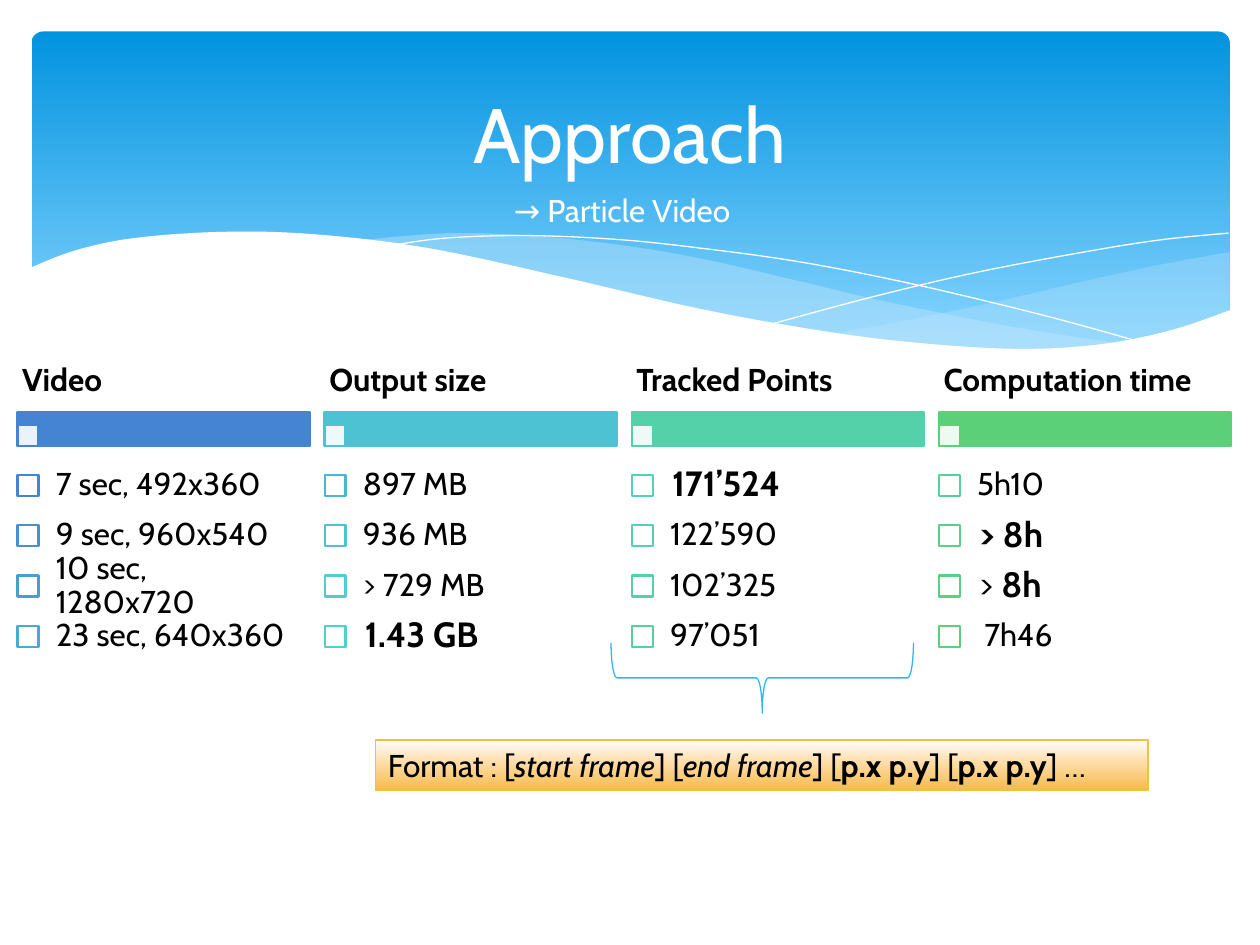
from lxml import etree
from pptx import Presentation
from pptx.dml.color import RGBColor
from pptx.enum.shapes import MSO_SHAPE
from pptx.enum.text import MSO_ANCHOR, PP_ALIGN
from pptx.oxml.ns import qn
from pptx.util import Pt

RECT, ROUND_RECT, BRACE = MSO_SHAPE.RECTANGLE, MSO_SHAPE.ROUNDED_RECTANGLE, MSO_SHAPE.LEFT_BRACE
MIDDLE, TOP = MSO_ANCHOR.MIDDLE, MSO_ANCHOR.TOP
LEFT, CENTER = PP_ALIGN.LEFT, PP_ALIGN.CENTER

FONT = "Cabin"
WHITE = RGBColor(0xFF, 0xFF, 0xFF)
BLACK = RGBColor(0x00, 0x00, 0x00)
SKY = RGBColor(0x02, 0x93, 0xE0)
PALE_SKY = RGBColor(0x83, 0xD3, 0xFE)
SWELL = RGBColor(0xC6, 0xE7, 0xFC)
BRACE_BLUE = RGBColor(0x31, 0xB6, 0xFD)
PEACH = RGBColor(0xFF, 0xDD, 0xAA)
AMBER = RGBColor(0xF4, 0xBB, 0x4A)
GOLD = RGBColor(0xF5, 0xC0, 0x40)
BLUES = [RGBColor.from_string(c) for c in ("4584D3", "4791D3", "489ED3", "49AAD2")]
CYANS = [RGBColor.from_string(c) for c in ("4BB6D2", "4CC2D2", "4ECDD2", "4FD1CA")]
TEALS = [RGBColor.from_string(c) for c in ("51D1BF", "52D1B4", "54D1A9", "55D19F")]
GREENS = [RGBColor.from_string(c) for c in ("57D195", "58D08B", "5AD081", "5BD078")]

COLUMNS = [
    ("Video", BLUES[0], BLUES,
     ["7 sec, 492x360", "9 sec, 960x540", "10 sec, 1280x720", "23 sec, 640x360"]),
    ("Output size", CYANS[1], CYANS,
     ["897 MB", "936 MB", "> 729 MB", [("1.43 GB", "b")]]),
    ("Tracked Points", TEALS[2], TEALS,
     [[("171’524", "b")], "122’590", "102’325", "97’051"]),
    ("Computation time", GREENS[3], GREENS,
     ["5h10", [("> 8h", "b")], [("> ", ""), ("8h", "b")], " 7h46"]),
]
FORMAT_RUNS = [
    ("Format : [", ""), ("start frame", "i"), ("] [", ""), ("end frame", "i"), ("] [", ""),
    ("p.x p.y", "b"), ("] [", ""), ("p.x p.y", "b"), ("] …", ""),
]

RIGHT_SWELL = [
    [(684.7, 126), (645.1, 133.2), (601.9, 142.6), (542.9, 156.2), (490.3, 167), (457.9, 172.8)],
    [(457.9, 172.8), (489.6, 177.1), (527, 180.7), (568.1, 182.2), (603.4, 180),
     (639.4, 174.2), (665.3, 167), (684.7, 159.8)],
]
LEFT_SWELL = [
    [(625, 178.6), (563, 169.2), (490.3, 154.8), (434.9, 141.8), (381.6, 129.6),
     (334.1, 121.7), (284.4, 116.6), (241.9, 115.2), (207.4, 117.4), (187.9, 119.5)],
    [(187.9, 119.5), (228.2, 125.3), (272.9, 133.9), (335.5, 149), (402.5, 163.4),
     (460.8, 173.5), (511.9, 180), (563, 182.2), (599, 181.4), (625, 178.6)],
]
FALLING_LINE = [
    [(204.5, 122.4), (236.2, 118.1), (281.5, 116.6), (334.1, 118.8), (382.3, 123.8),
     (439.9, 131.8), (505.4, 144.7), (580.3, 162.7), (635, 177.8)],
]
RISING_LINE = [
    [(423.4, 167), (482.4, 151.2), (540.7, 137.5), (605.5, 125.3), (647.3, 118.8), (684, 115.2)],
]
WHITE_WAVE = [
    [(-1.5, 135.4), (24.5, 125.3), (58.3, 118.1), (109.4, 114.5), (162, 115.9),
     (226.8, 123.8), (303.8, 140.4), (381.6, 158.4), (448.6, 170.6), (504.7, 177.8),
     (564.5, 181.4), (612, 178.6), (651.6, 170.6), (685.4, 159.1)],
    [(685.4, 218.9), (-1.5, 218.9)],
]


def set_alpha(sp, percent):
    """Make the solid fill of a shape partly transparent."""
    color = sp._element.spPr.find(qn("a:solidFill"))[0]
    etree.SubElement(color, qn("a:alpha"), val=str(percent * 1000))


def set_gradient(sp, stops):
    """Fill a shape from top to bottom with (percent, colour) stops."""
    sp.fill.gradient()
    sp.fill.gradient_angle = 270
    gs_list = sp._element.spPr.find(qn("a:gradFill")).find(qn("a:gsLst"))
    for gs in list(gs_list):
        gs_list.remove(gs)
    for percent, color in stops:
        gs = etree.SubElement(gs_list, qn("a:gs"), pos=str(percent * 1000))
        etree.SubElement(gs, qn("a:srgbClr"), val=str(color))


def style(sp, fill=None, line=None, width=1.25):
    """Set fill and line of a shape and drop its shadow."""
    sp.shadow.inherit = False
    if fill is None:
        sp.fill.background()
    else:
        sp.fill.solid()
        sp.fill.fore_color.rgb = fill
    if line is None:
        sp.line.fill.background()
    else:
        sp.line.color.rgb = line
        sp.line.width = Pt(width)
    return sp


def add_box(s, kind, x, y, w, h, **look):
    """Add a styled preset shape."""
    return style(s.shapes.add_shape(kind, Pt(x), Pt(y), Pt(w), Pt(h)), **look)


def add_text(s, content, x, y, w, h, size=18, color=BLACK, bold=False, align=LEFT,
             anchor=MIDDLE, inset=(7.2, 3.6), spacing=None, wrap=True):
    """Add a text box from a string or a list of (text, style letters) runs."""
    tf = s.shapes.add_textbox(Pt(x), Pt(y), Pt(w), Pt(h)).text_frame
    tf.word_wrap = wrap
    tf.vertical_anchor = anchor
    tf.margin_left = tf.margin_right = Pt(inset[0])
    tf.margin_top = tf.margin_bottom = Pt(inset[1])
    p = tf.paragraphs[0]
    p.alignment = align
    p.line_spacing = spacing
    runs = [(content, "b" if bold else "")] if isinstance(content, str) else content
    for text, marks in runs:
        r = p.add_run()
        r.text = text
        r.font.name = FONT
        r.font.size = Pt(size)
        r.font.color.rgb = color
        r.font.bold = "b" in marks
        r.font.italic = "i" in marks


def smooth(knots, steps=8):
    """Return points on a Catmull-Rom curve through the knots."""
    if len(knots) < 3:
        return knots
    padded = [knots[0], *knots, knots[-1]]
    points = [knots[0]]
    for a, b, c, d in zip(padded, padded[1:], padded[2:], padded[3:]):
        for step in range(1, steps + 1):
            t = step / steps
            points.append(tuple(
                (2 * q + (r - p) * t + (2 * p - 5 * q + 4 * r - v) * t ** 2
                 + (3 * q - p - 3 * r + v) * t ** 3) / 2
                for p, q, r, v in zip(a, b, c, d)))
    return points


def add_curve(s, x, y, edges, closed=True, **look):
    """Add a freeform along smoothed edges, relative to x and y."""
    points = [(Pt(x + px), Pt(y + py)) for edge in edges for px, py in smooth(edge)]
    builder = s.shapes.build_freeform(*points[0], scale=1.0)
    builder.add_line_segments(points[1:], close=closed)
    return style(builder.convert_to_shape(), **look)


def add_banner(s, x, y, w, h):
    """Draw the blue wave banner with title and subtitle."""
    sp = add_box(s, ROUND_RECT, x, y, w, h)
    sp.adjustments[0] = 0.034
    set_gradient(sp, [(0, SKY), (90, PALE_SKY)])
    for edges, alpha in ((RIGHT_SWELL, 29), (LEFT_SWELL, 40)):
        set_alpha(add_curve(s, x, y, edges, fill=SWELL), alpha)
    for edges in (FALLING_LINE, RISING_LINE):
        add_curve(s, x, y, edges, closed=False, line=WHITE, width=0)
    add_curve(s, x, y, WHITE_WAVE, fill=WHITE)
    add_text(s, "Approach", x + 18, y + 8.6, w - 36.7, 98.6, size=44, color=WHITE, align=CENTER)
    add_text(s, "→ Particle Video", x + 268.6, y + 87.8, 141, 29, color=WHITE,
             anchor=TOP, wrap=False)


def add_column(s, x, y, w, column, row_h=28.8, mark=12):
    """Draw one column: heading, colour bar and checkbox rows."""
    heading, color, row_colors, rows = column
    add_box(s, RECT, x, y + 35.3, w, 19.6, fill=color, line=color)
    set_alpha(add_box(s, RECT, x, y + 42.6, mark, mark, fill=WHITE, line=color), 90)
    add_text(s, heading, x, y, w, 35.3, bold=True, inset=(2.7, 1.8), spacing=0.9)
    for i, (content, row_color) in enumerate(zip(rows, row_colors)):
        top = y + 62.7 + i * row_h
        size, inset = (18, 10.24) if isinstance(content, str) else (20, 11.38)
        add_box(s, RECT, x, top + 8.4, mark, mark, fill=WHITE, line=row_color)
        add_text(s, content, x + 11.7, top, w - 11.7, row_h, size=size,
                 inset=(inset, inset), spacing=0.9)


def add_format_note(s, x, y, w, h):
    """Draw the brace under the points column and the format box below it."""
    brace_w, brace_h = 172.8, 40.3
    shift = (brace_w - brace_h) / 2
    sp = add_box(s, BRACE, x + 134.6 + shift, y - 55.6 - shift, brace_h, brace_w,
                 line=BRACE_BLUE, width=0.75)
    sp.rotation = 270
    sp = add_box(s, RECT, x, y, w, h, line=GOLD, width=0.75)
    set_gradient(sp, [(0, WHITE), (44, PEACH), (100, AMBER)])
    add_text(s, FORMAT_RUNS, x, y, w, h, anchor=TOP, wrap=False)


def main():
    """Build the slide and save it."""
    prs = Presentation()
    prs.slide_width, prs.slide_height = Pt(720), Pt(540)
    s = prs.slides.add_slide(prs.slide_layouts[6])
    add_banner(s, 18, 18, 684.7, 194.4)
    for i, column in enumerate(COLUMNS):
        add_column(s, 10 + i * 175.5, 200.2, 167.2, column)
    add_format_note(s, 214.6, 422.8, 441.4, 29)
    prs.save("out.pptx")


if __name__ == "__main__":
    main()
